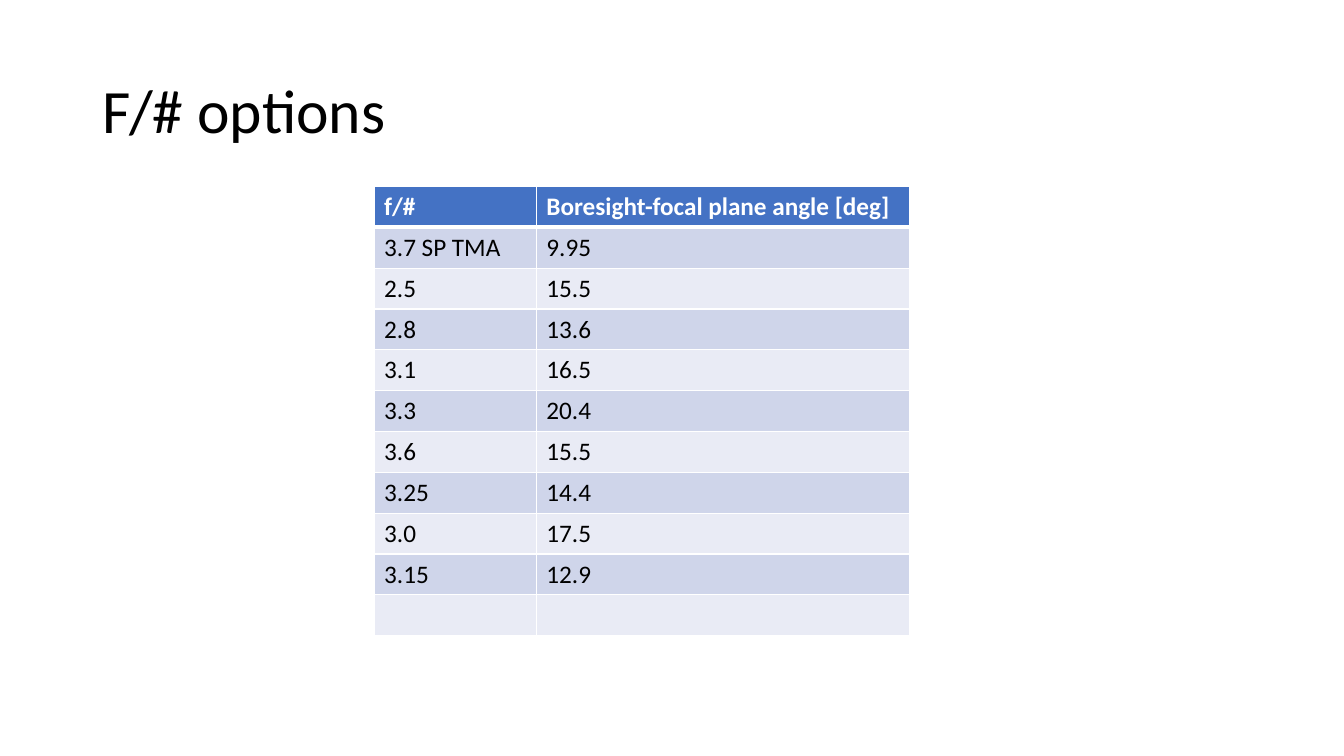
from dataclasses import dataclass

from lxml import etree
from pptx import Presentation
from pptx import util as u
from pptx.dml.color import RGBColor
from pptx.enum import text
from pptx.oxml import ns


@dataclass(frozen=True)
class Theme:
    font: str = "Calibri"
    title_size: int = 44
    table_size: int = 18
    ink: str = "000000"
    white: str = "FFFFFF"
    header: str = "4472C4"
    bands: tuple = ("CFD5EA", "E9EBF5")
    thin_border: int = 1
    header_border: int = 3


THEME = Theme()
COLUMN_WIDTHS = (1.61, 3.7)
OPTIONS = [
    ("f/#", "Boresight-focal plane angle [deg]"),
    ("3.7 SP TMA", "9.95"),
    ("2.5", "15.5"),
    ("2.8", "13.6"),
    ("3.1", "16.5"),
    ("3.3", "20.4"),
    ("3.6", "15.5"),
    ("3.25", "14.4"),
    ("3.0", "17.5"),
    ("3.15", "12.9"),
    ("", ""),
]


def format_runs(paragraph, size, color, bold=False):
    for run in paragraph.runs:
        run.font.name = THEME.font
        run.font.size = u.Pt(size)
        run.font.bold = bold
        run.font.color.rgb = RGBColor.from_string(color)


def add_title(slide, box, wording):
    shape = slide.shapes.add_textbox(*map(u.Inches, box))
    frame = shape.text_frame
    frame.word_wrap = True
    frame.vertical_anchor = text.MSO_ANCHOR.MIDDLE
    frame.text = wording
    paragraph = frame.paragraphs[0]
    paragraph.line_spacing = 0.9
    format_runs(paragraph, THEME.title_size, THEME.ink)


def add_borders(cell, **widths):
    """Draw white borders, given in points by side; call before filling the cell."""
    properties = cell._tc.get_or_add_tcPr()
    for side, width in widths.items():
        line = etree.SubElement(properties, ns.qn(f"a:ln{side}"), w=str(u.Pt(width)))
        fill = etree.SubElement(line, ns.qn("a:solidFill"))
        etree.SubElement(fill, ns.qn("a:srgbClr"), val=THEME.white)


def add_options_table(slide, box, rows):
    frame = slide.shapes.add_table(len(rows), len(COLUMN_WIDTHS), *map(u.Inches, box))
    table = frame.table
    for column, width in zip(table.columns, COLUMN_WIDTHS):
        column.width = u.Inches(width)
    for row_index, values in enumerate(rows):
        is_header = row_index == 0
        fill_color = THEME.header if is_header else THEME.bands[(row_index - 1) % 2]
        text_color = THEME.white if is_header else THEME.ink
        top = THEME.header_border if row_index == 1 else THEME.thin_border
        bottom = THEME.header_border if is_header else THEME.thin_border
        for column_index, value in enumerate(values):
            cell = table.cell(row_index, column_index)
            add_borders(cell, L=THEME.thin_border, R=THEME.thin_border, T=top, B=bottom)
            cell.fill.solid()
            cell.fill.fore_color.rgb = RGBColor.from_string(fill_color)
            if value:
                cell.text_frame.text = value
                format_runs(cell.text_frame.paragraphs[0], THEME.table_size, text_color, is_header)


def main():
    presentation = Presentation()
    presentation.slide_width = u.Inches(13.33)
    presentation.slide_height = u.Inches(7.5)
    slide = presentation.slides.add_slide(presentation.slide_layouts[6])
    add_title(slide, (0.92, 0.4, 11.5, 1.45), "F/# options")
    add_options_table(slide, (3.71, 1.85, sum(COLUMN_WIDTHS), 4.46), OPTIONS)
    presentation.save("out.pptx")


if __name__ == "__main__":
    main()
